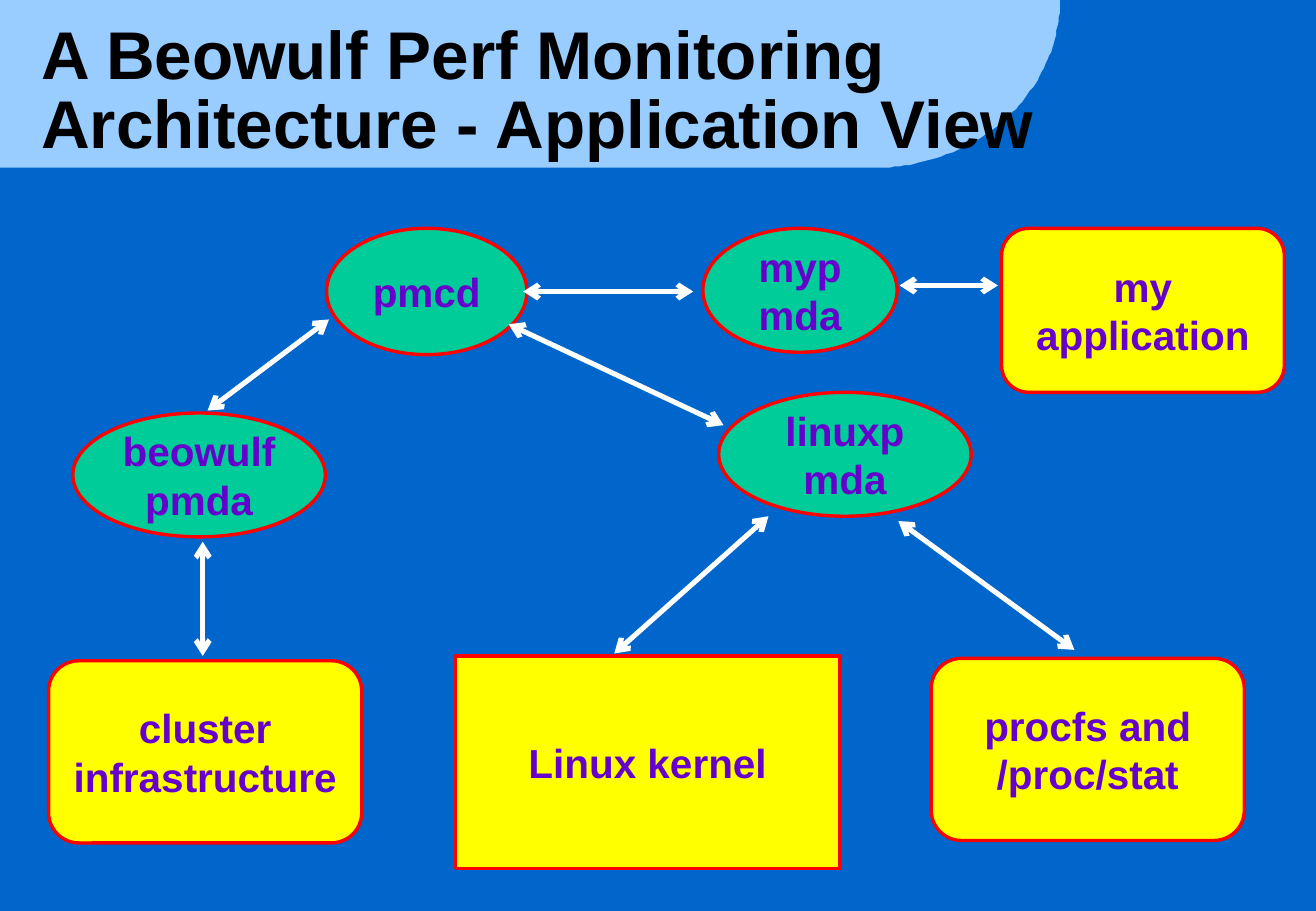
"""Build the Beowulf performance monitoring architecture slide."""
from math import cos, pi, sin

from lxml.etree import SubElement
from pptx import Presentation
from pptx.dml.color import RGBColor
from pptx.enum.shapes import MSO_CONNECTOR as Connector, MSO_SHAPE as Preset
from pptx.enum.text import MSO_ANCHOR as Anchor, MSO_AUTO_SIZE as AutoSize, PP_ALIGN as Align
from pptx.oxml.ns import qn
from pptx.util import Pt

PX = 9144
PAGE_WIDTH, PAGE_HEIGHT = 1084, 750
BANNER_HEIGHT, CURVE_START, CURVE_WIDTH = 138, 721, 152
CURVE_STEPS = 60
TEAL, YELLOW, RED, PURPLE = "00CC99", "FFFF00", "FF0000", "6600CC"

AGENTS = [
    ("pmcd", 269, 188, 165, 104),
    ("mypmda", 579, 188, 160, 102),
    ("linuxpmda", 592, 323, 208, 102),
    ("beowulfpmda", 60, 340, 208, 102),
]
SOURCES = [
    ("my application", 825, 188, 233, 135),
    ("cluster\ninfrastructure", 40, 544, 258, 150),
    ("procfs and\n/proc/stat", 767, 542, 258, 150),
]
KERNEL = ("Linux kernel", 375, 540, 317, 175)
LINKS = [
    (431, 240, 571, 240),
    (741, 235, 822, 235),
    (419, 267, 596, 350),
    (271, 263, 171, 338),
    (167, 446, 167, 540),
    (633, 425, 506, 538),
    (740, 429, 885, 535),
]


def px(*lengths):
    """Turn px lengths into EMU."""
    return [round(length * PX) for length in lengths]


def paint(fill, color):
    """Make a fill solid in a hex colour."""
    fill.solid()
    fill.fore_color.rgb = RGBColor.from_string(color)


def style_text(frame, size, color, align):
    """Format every run of a text frame in bold Arial."""
    for para in frame.paragraphs:
        para.alignment = align
        for span in para.runs:
            span.font.name = "Arial"
            span.font.size = Pt(size)
            span.font.bold = True
            span.font.color.rgb = RGBColor.from_string(color)


def add_banner(page):
    """Draw the pale header band with its elliptical right end behind the title."""
    angles = [pi / 2 * step / CURVE_STEPS for step in range(CURVE_STEPS + 1)]
    curve = [(CURVE_START + CURVE_WIDTH * cos(angle), BANNER_HEIGHT * sin(angle))
             for angle in angles]
    builder = page.shapes.build_freeform(0, 0, scale=PX)
    builder.add_line_segments(curve + [(0, BANNER_HEIGHT)], close=True)
    banner = builder.convert_to_shape()
    banner.shadow.inherit = False
    paint(banner.fill, "99CCFF")
    banner.line.fill.background()
    banner.element.getparent().insert(2, banner.element)


def add_title(page, text):
    """Place and format the title placeholder."""
    title = page.shapes.title
    title.left, title.top, title.width, title.height = px(25, 16, 853, 122)
    frame = title.text_frame
    frame.text = text
    frame.word_wrap = True
    frame.auto_size = AutoSize.NONE
    frame.vertical_anchor = Anchor.MIDDLE
    frame.margin_left, frame.margin_top, frame.margin_right, frame.margin_bottom = px(9, 5, 9, 5)
    frame.paragraphs[0].line_spacing = 0.85
    style_text(frame, 40, "000000", Align.LEFT)


def add_node(page, preset, fill, text, *bounds):
    """Add one red-outlined node with a centred label."""
    node = page.shapes.add_shape(preset, *px(*bounds))
    node.shadow.inherit = False
    paint(node.fill, fill)
    paint(node.line.fill, RED)
    node.line.width = Pt(2)
    frame = node.text_frame
    frame.text = text
    frame.word_wrap = True
    frame.vertical_anchor = Anchor.MIDDLE
    style_text(frame, 24, PURPLE, Align.CENTER)


def add_link(page, *ends):
    """Add a white line with an arrowhead at both ends."""
    link = page.shapes.add_connector(Connector.STRAIGHT, *px(*ends))
    paint(link.line.fill, "FFFFFF")
    link.line.width = Pt(3)
    outline = link.line._get_or_add_ln()
    for end in ("a:headEnd", "a:tailEnd"):
        SubElement(outline, qn(end), type="arrow")
    SubElement(outline.getparent(), qn("a:effectLst"))


def main():
    """Build and save the deck."""
    deck = Presentation()
    deck.slide_width, deck.slide_height = px(PAGE_WIDTH, PAGE_HEIGHT)
    page = deck.slides.add_slide(deck.slide_layouts[5])
    paint(page.background.fill, "0066CC")
    add_banner(page)
    add_title(page, "A Beowulf Perf Monitoring Architecture - Application View")
    add_node(page, Preset.RECTANGLE, YELLOW, *KERNEL)
    for agent in AGENTS:
        add_node(page, Preset.OVAL, TEAL, *agent)
    for source in SOURCES:
        add_node(page, Preset.ROUNDED_RECTANGLE, YELLOW, *source)
    for link in LINKS:
        add_link(page, *link)
    deck.save("out.pptx")


if __name__ == "__main__":
    main()
